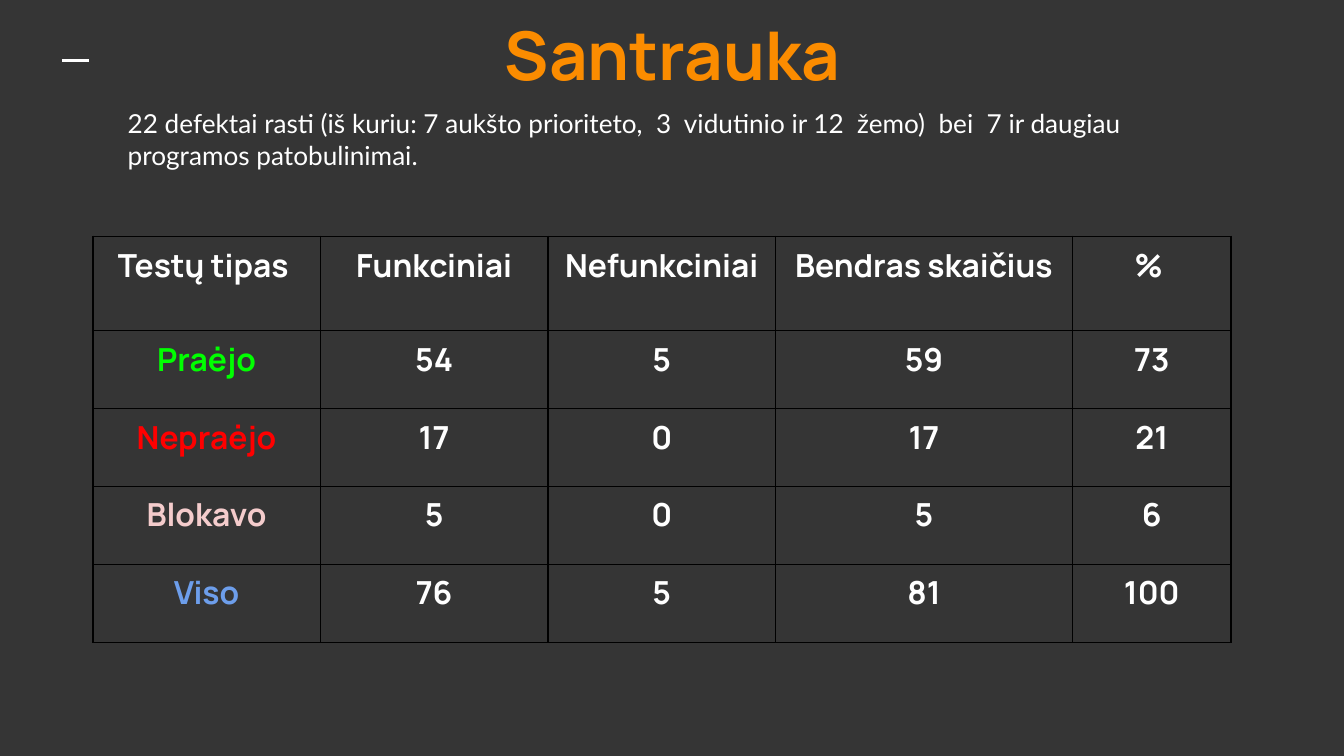
from dataclasses import dataclass

from lxml.etree import SubElement
from pptx import Presentation
from pptx.dml.color import RGBColor as Rgb
from pptx.enum.shapes import MSO_CONNECTOR as Connector
from pptx.enum.text import MSO_ANCHOR as Anchor, MSO_AUTO_SIZE as AutoSize, PP_ALIGN as Align
from pptx.oxml.ns import qn
from pptx.util import Inches, Pt


@dataclass(frozen=True)
class Theme:
    background: str = "353535"
    text: str = "FFFFFF"
    accent: str = "FB8C00"
    border: str = "000000"
    passed: str = "00FF00"
    failed: str = "FF0000"
    blocked: str = "F4CCCC"
    total: str = "6D9EEB"
    heading_font: str = "Manrope"
    body_font: str = "Lato"
    title_size: float = 36
    body_size: float = 14
    table_size: float = 17
    border_width: float = 0.96
    dash_width: float = 1.5


class SlideBuilder:
    """Holds the theme and the slide being built."""

    def __init__(self, page, theme):
        self.page = page
        self.theme = theme
        fill = page.background.fill
        fill.solid()
        fill.fore_color.rgb = Rgb.from_string(theme.background)

    def add_run(self, para, text, font, size, color, bold=False):
        span = para.add_run()
        span.text = text
        span.font.name = font
        span.font.size = Pt(size)
        span.font.bold = bold
        span.font.color.rgb = Rgb.from_string(color)

    def place(self, box, left, top, width, height):
        """Move a placeholder and return its first paragraph."""
        box.left, box.top = Inches(left), Inches(top)
        box.width, box.height = Inches(width), Inches(height)
        frame = box.text_frame
        frame.word_wrap = True
        frame.auto_size = AutoSize.NONE
        frame.vertical_anchor = Anchor.TOP
        frame.margin_left = frame.margin_right = Inches(0.1)
        frame.margin_top = frame.margin_bottom = Inches(0.1)
        para = frame.paragraphs[0]
        para.space_before = Pt(0)
        return para

    def title(self, text, *bounds):
        theme = self.theme
        para = self.place(self.page.shapes.title, *bounds)
        para.alignment = Align.CENTER
        self.add_run(para, text, theme.heading_font, theme.title_size, theme.accent, bold=True)

    def body(self, text, *bounds):
        theme = self.theme
        para = self.place(self.page.placeholders[1], *bounds)
        para.alignment = Align.LEFT
        properties = para._p.get_or_add_pPr()
        properties.set("marL", "0")
        properties.set("indent", "0")
        SubElement(properties, qn("a:buNone"))
        self.add_run(para, text, theme.body_font, theme.body_size, theme.text)

    def line(self, *ends):
        line = self.page.shapes.add_connector(Connector.STRAIGHT, *map(Inches, ends))
        line.line.color.rgb = Rgb.from_string(self.theme.text)
        line.line.width = Pt(self.theme.dash_width)
        SubElement(line._element.spPr, qn("a:effectLst"))

    def table(self, rows, label_colors, left, top, widths, heights):
        frame = self.page.shapes.add_table(
            len(rows), len(widths), Inches(left), Inches(top),
            Inches(sum(widths)), Inches(sum(heights)))
        grid = frame.table
        grid.first_row = grid.horz_banding = False
        for column, width in zip(grid.columns, widths):
            column.width = Inches(width)
        for row, height in zip(grid.rows, heights):
            row.height = Inches(height)
        for r, (values, label_color) in enumerate(zip(rows, label_colors)):
            for c, value in enumerate(values):
                color = self.theme.text if c else label_color
                self.cell(grid.cell(r, c), value, color)

    def cell(self, cell, text, color):
        theme = self.theme
        cell.margin_left = cell.margin_right = Inches(0.07)
        cell.margin_top = cell.margin_bottom = Inches(0.05)
        cell.vertical_anchor = Anchor.TOP
        # Borders come before the fill in the cell properties
        properties = cell._tc.get_or_add_tcPr()
        for side in ("lnL", "lnR", "lnT", "lnB"):
            edge = SubElement(properties, qn(f"a:{side}"), w=str(Pt(theme.border_width)))
            paint = SubElement(edge, qn("a:solidFill"))
            SubElement(paint, qn("a:srgbClr"), val=theme.border)
        cell.fill.background()
        para = cell.text_frame.paragraphs[0]
        para.alignment = Align.CENTER
        self.add_run(para, text, theme.heading_font, theme.table_size, color, bold=True)


def main():
    # Widescreen page, 16:9
    deck = Presentation()
    deck.slide_width = Inches(10)
    deck.slide_height = Inches(10 * 9 / 16)
    theme = Theme()
    builder = SlideBuilder(deck.slides.add_slide(deck.slide_layouts[1]), theme)

    # Dash in the corner
    builder.line(0.46, 0.45, 0.66, 0.45)

    # Title and summary
    builder.title("Santrauka", 0.29, 0, 9.43, 0.59)
    builder.body(
        "22 defektai rasti (iš kuriu: 7 aukšto prioriteto,  3  vidutinio ir 12  žemo)"
        "  bei  7 ir daugiau  programos patobulinimai.",
        0.85, 0.7, 8.02, 0.67)

    # Test results
    rows = [
        ("Testų tipas ", "Funkciniai", "Nefunkciniai", "Bendras skaičius", "% "),
        ("Praėjo", "54", "5", "59", "73"),
        ("Nepraėjo", "17", "0", "17", "21"),
        ("Blokavo", "5", "0", "5", "6"),
        ("Viso", "76", "5", "81", "100"),
    ]
    label_colors = [theme.text, theme.passed, theme.failed, theme.blocked, theme.total]
    builder.table(rows, label_colors, 0.69, 1.76,
                  widths=[5.08 / 3] * 3 + [2.21, 1.18], heights=[0.7] + [0.58] * 4)

    deck.save("out.pptx")


if __name__ == "__main__":
    main()
